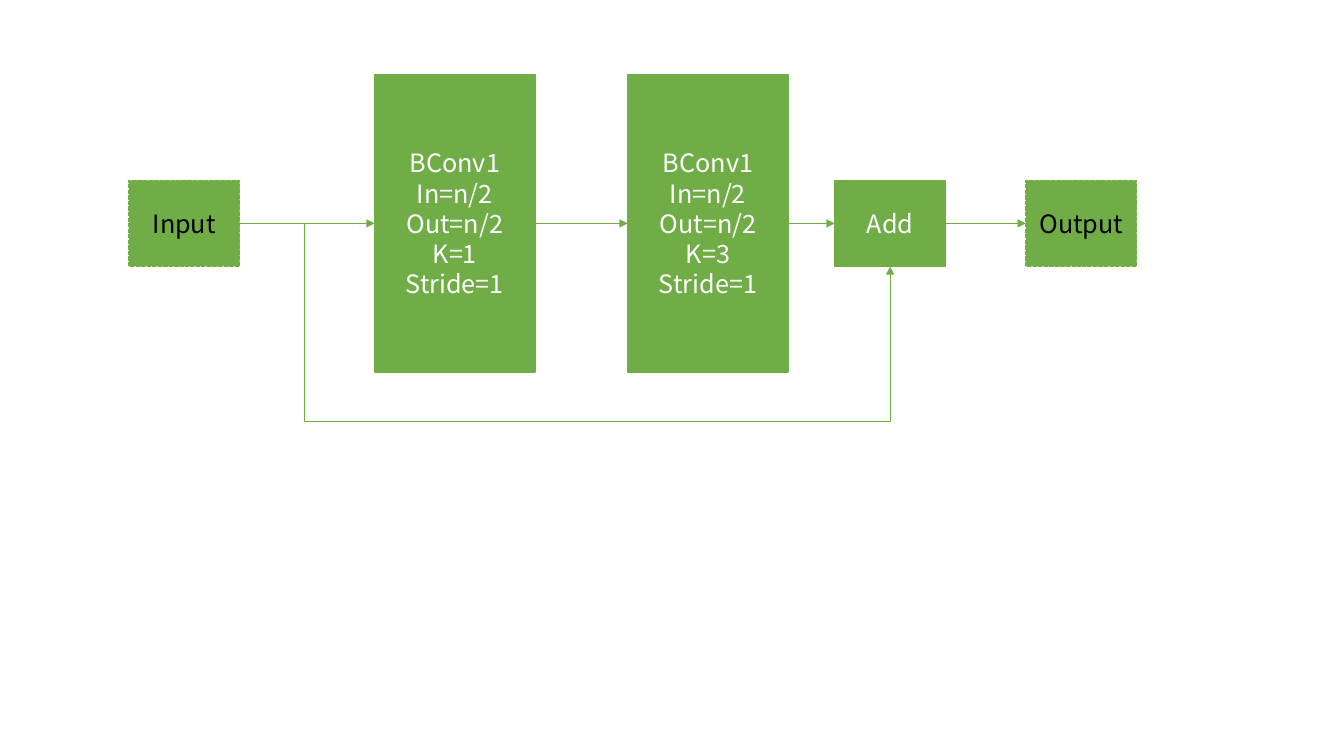
"""Build a slide with a residual block: two convolutions, a skip connection and an addition."""
from dataclasses import dataclass

from lxml.etree import SubElement
from pptx import Presentation
from pptx.dml.color import RGBColor
from pptx.enum.dml import MSO_LINE
from pptx.enum.shapes import MSO_CONNECTOR, MSO_SHAPE
from pptx.enum.text import MSO_ANCHOR, PP_ALIGN
from pptx.oxml.ns import qn
from pptx.util import Pt


@dataclass(frozen=True)
class Theme:
    green: RGBColor = RGBColor(0x70, 0xAD, 0x47)
    white: RGBColor = RGBColor(0xFF, 0xFF, 0xFF)
    black: RGBColor = RGBColor(0x00, 0x00, 0x00)
    font: str = "Noto Sans CJK SC"
    text_size: Pt = Pt(18)
    line_spacing: Pt = Pt(21.6)
    outline: Pt = Pt(1)
    arrow: Pt = Pt(0.5)


theme = Theme()
TOP, LEFT, BOTTOM, RIGHT = range(4)
AXIS = 159.6
SMALL = (79.2, 61.4)
LARGE = (114.6, 212.6)


def add_block(left, size, lines, terminal=False):
    width, height = size
    shape = slide.shapes.add_shape(
        MSO_SHAPE.RECTANGLE, Pt(left), Pt(AXIS - height / 2), Pt(width), Pt(height))
    shape.shadow.inherit = False
    shape.fill.solid()
    shape.fill.fore_color.rgb = theme.green
    shape.line.color.rgb = theme.green
    shape.line.width = theme.outline
    if terminal:
        shape.line.dash_style = MSO_LINE.SQUARE_DOT
    text_frame = shape.text_frame
    text_frame.text = "\n".join(lines)
    text_frame.word_wrap = True
    text_frame.vertical_anchor = MSO_ANCHOR.MIDDLE
    for paragraph in text_frame.paragraphs:
        paragraph.alignment = PP_ALIGN.CENTER
        paragraph.line_spacing = theme.line_spacing
        font = paragraph.runs[0].font
        font.name = theme.font
        font.size = theme.text_size
        font.color.rgb = theme.black if terminal else theme.white
    return shape


def add_arrow(kind, source, target, target_side):
    connector = slide.shapes.add_connector(kind, 0, 0, 0, 0)
    connector.begin_connect(source, RIGHT)
    connector.end_connect(target, target_side)
    connector.line.color.rgb = theme.green
    connector.line.width = theme.arrow
    SubElement(connector.line._get_or_add_ln(), qn("a:tailEnd"), type="triangle")
    SubElement(connector._element.spPr, qn("a:effectLst"))
    return connector


presentation = Presentation()
presentation.slide_width = Pt(960)
presentation.slide_height = Pt(540)
slide = presentation.slides.add_slide(presentation.slide_layouts[6])

blocks = [
    add_block(92, SMALL, ["Input"], terminal=True),
    add_block(267.6, LARGE, ["BConv1", "In=n/2", "Out=n/2", "K=1", "Stride=1"]),
    add_block(448.4, LARGE, ["BConv1", "In=n/2", "Out=n/2", "K=3", "Stride=1"]),
    add_block(596.2, SMALL, ["Add"]),
    add_block(732.8, SMALL, ["Output"], terminal=True),
]

for source, target in zip(blocks, blocks[1:]):
    add_arrow(MSO_CONNECTOR.STRAIGHT, source, target, LEFT)

skip = add_arrow(MSO_CONNECTOR.ELBOW, blocks[0], blocks[3], BOTTOM)
geometry = skip._element.spPr.find(qn("a:prstGeom"))
geometry.set("prst", "bentConnector4")
adjustments = geometry.find(qn("a:avLst"))
for name, value in (("adj1", 10000), ("adj2", 461600)):
    SubElement(adjustments, qn("a:gd"), name=name, fmla=f"val {value}")

presentation.save("out.pptx")
